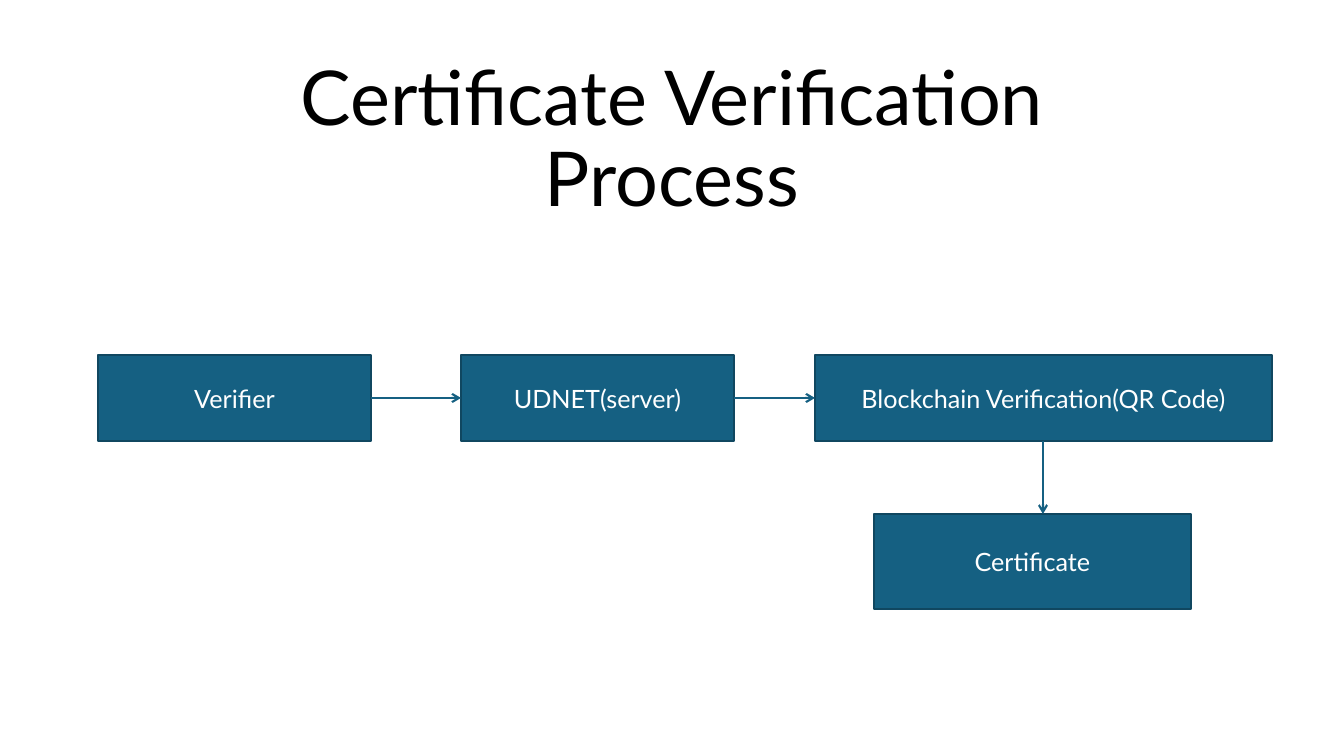
from dataclasses import dataclass

from lxml import etree
from pptx import Presentation
from pptx.dml.color import RGBColor
from pptx.enum.shapes import MSO_CONNECTOR, MSO_SHAPE
from pptx.enum.text import MSO_ANCHOR, MSO_AUTO_SIZE, PP_ALIGN
from pptx.oxml.ns import qn
from pptx.util import Pt

RECTANGLE = MSO_SHAPE.RECTANGLE
STRAIGHT = MSO_CONNECTOR.STRAIGHT
MIDDLE, BOTTOM = MSO_ANCHOR.MIDDLE, MSO_ANCHOR.BOTTOM
CENTER = PP_ALIGN.CENTER
NO_AUTOFIT = MSO_AUTO_SIZE.NONE
TITLE_ONLY = 5
EMU_PER_PX = 914400 / 100.8


@dataclass(frozen=True)
class Theme:
    font: str = "Lato"
    title_size: int = 54
    label_size: int = 18
    line_width: float = 1.5
    title: str = "000000"
    label: str = "FFFFFF"
    fill: str = "156082"
    border: str = "104760"


@dataclass(frozen=True)
class Box:
    left: int
    top: int
    width: int
    height: int

    def emu(self):
        return [px(n) for n in (self.left, self.top, self.width, self.height)]


THEME = Theme()


def px(length):
    return round(length * EMU_PER_PX)


def color(value):
    return RGBColor.from_string(value)


def write_text(shape, text, *, size, text_color, anchor=MIDDLE, spacing=None):
    frame = shape.text_frame
    frame.word_wrap = True
    frame.auto_size = NO_AUTOFIT
    frame.vertical_anchor = anchor
    paragraph = frame.paragraphs[0]
    paragraph.alignment = CENTER
    paragraph.line_spacing = spacing
    run = paragraph.add_run()
    run.text = text
    run.font.name = THEME.font
    run.font.size = Pt(size)
    run.font.color.rgb = color(text_color)


def add_title(slide, box, text):
    title = slide.shapes.title
    title.left, title.top, title.width, title.height = box.emu()
    write_text(title, text, size=THEME.title_size, text_color=THEME.title,
               anchor=BOTTOM, spacing=0.9)


def add_step(slide, box, text):
    shape = slide.shapes.add_shape(RECTANGLE, *box.emu())
    shape.shadow.inherit = False
    shape.fill.solid()
    shape.fill.fore_color.rgb = color(THEME.fill)
    shape.line.color.rgb = color(THEME.border)
    shape.line.width = Pt(THEME.line_width)
    write_text(shape, text, size=THEME.label_size, text_color=THEME.label)


def add_arrow(slide, start, end):
    arrow = slide.shapes.add_connector(STRAIGHT, *map(px, start + end))
    arrow.line.color.rgb = color(THEME.fill)
    arrow.line.width = Pt(THEME.line_width)
    properties = arrow._element.spPr
    line = properties.find(qn("a:ln"))
    etree.SubElement(line, qn("a:tailEnd"), type="arrow")
    etree.SubElement(properties, qn("a:effectLst"))


def add_flow(slide, box):
    # Row of steps: offset from the left of the flow, width, label
    row_height = 86
    steps = [
        (0, 273, "Verifier"),
        (363, 273, "UDNET(server)"),
        (717, 457, "Blockchain Verification(QR Code)"),
    ]
    row = []
    for offset, width, text in steps:
        step = Box(box.left + offset, box.top, width, row_height)
        add_step(slide, step, text)
        row.append(step)

    # Arrows between neighbours in the row
    middle = box.top + row_height // 2
    for source, target in zip(row, row[1:]):
        add_arrow(slide, (source.left + source.width, middle),
                  (target.left, middle))

    # Result below the last step, flush with the bottom of the flow
    result_height = 95
    result = Box(box.left + 776, box.top + box.height - result_height,
                 317, result_height)
    add_step(slide, result, "Certificate")
    last = row[-1]
    center = last.left + last.width // 2
    add_arrow(slide, (center, last.top + row_height), (center, result.top))


def main():
    presentation = Presentation()
    presentation.slide_width, presentation.slide_height = px(1344), px(756)
    slide = presentation.slides.add_slide(
        presentation.slide_layouts[TITLE_ONLY])
    add_title(slide, Box(168, 124, 1008, 104),
              "Certificate Verification Process")
    add_flow(slide, Box(98, 355, 1174, 254))
    presentation.save("out.pptx")


if __name__ == "__main__":
    main()
